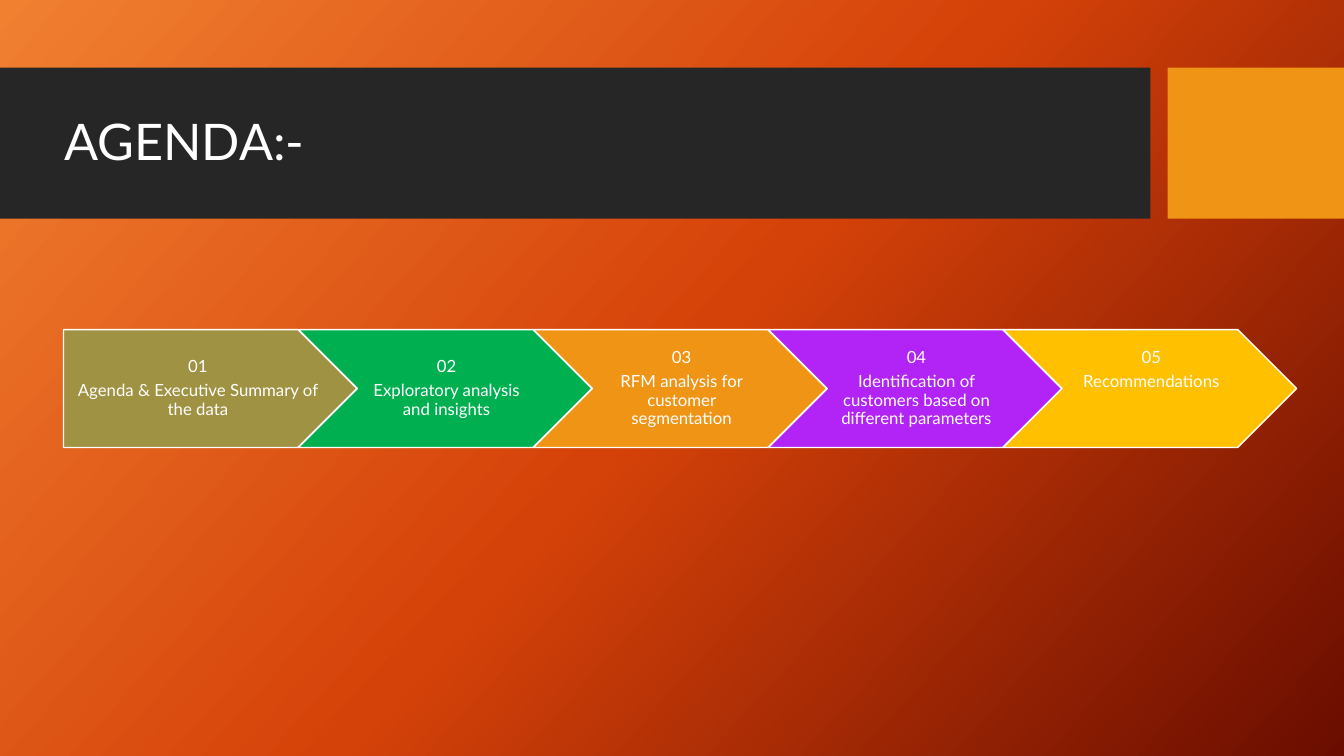
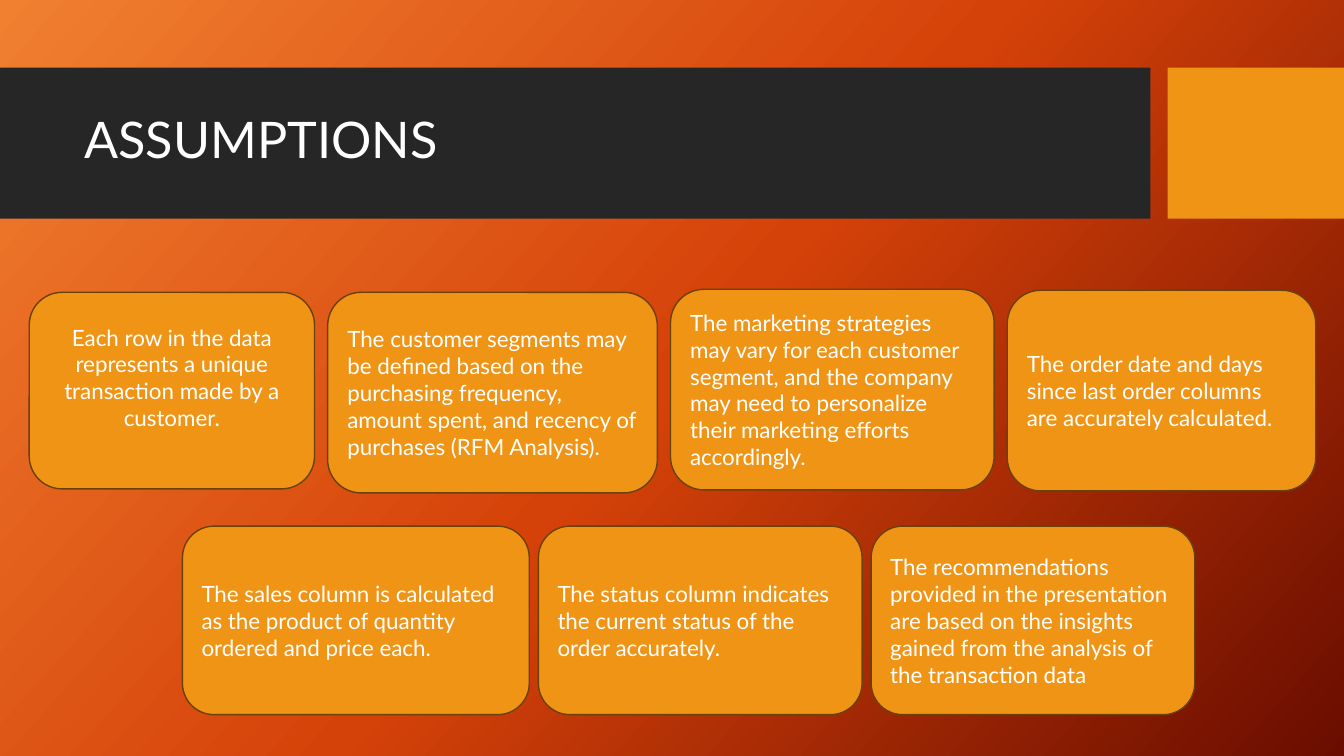
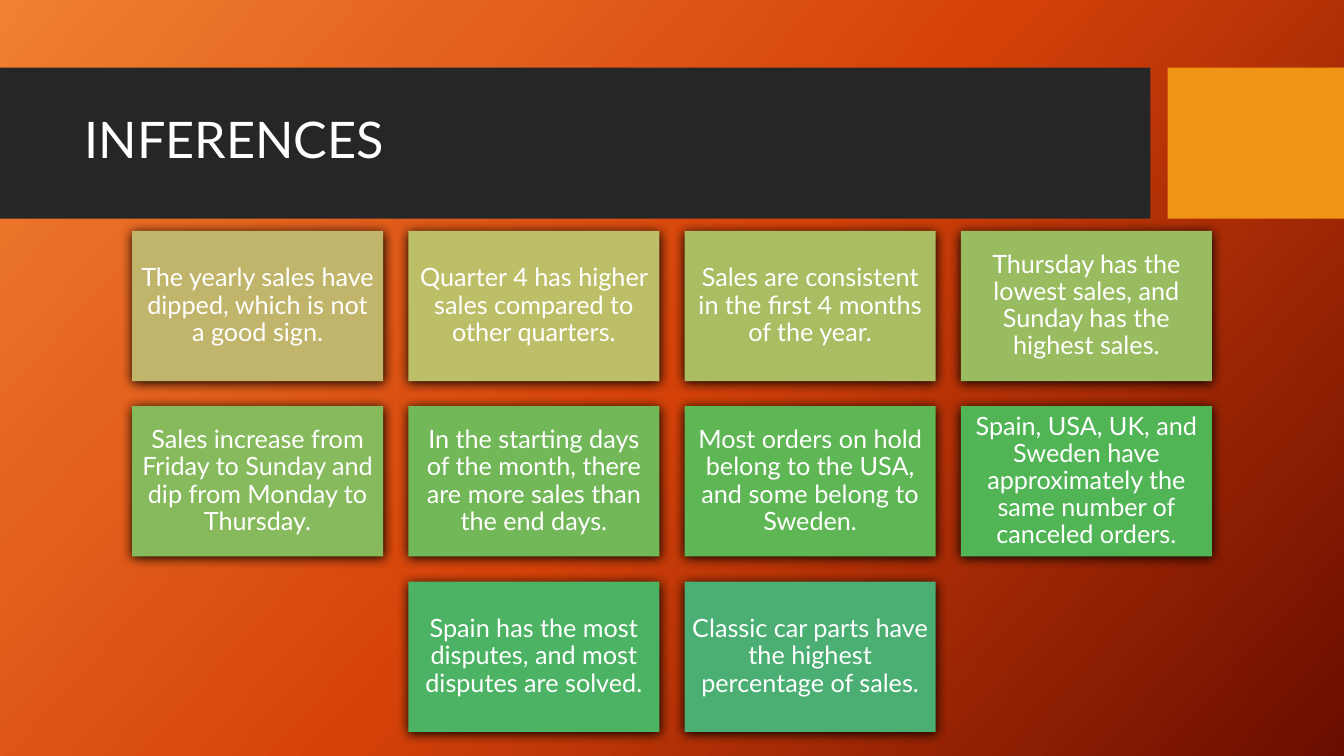
from copy import deepcopy

from lxml import etree
from pptx import Presentation
from pptx.dml.color import RGBColor
from pptx.enum import shapes, text
from pptx.oxml import ns
from pptx.util import Inches, Pt

HUES = {
    "white": "FFFFFF", "band": "262626", "accent": "F09415", "edge": "694109",
    "glow": "F18031", "flame": "D54209", "ember": "6A0D00", "black": "000000",
    "olive": "9F9242", "green": "00B050", "violet": "B124F5", "gold": "FFC000",
}
FONT = "Lato"
WIDE, HIGH = 13.33, 7.5
KIND = shapes.MSO_SHAPE
MID = text.PP_ALIGN.CENTER
LEFT = text.PP_ALIGN.LEFT
SIDES = ("margin_left", "margin_top", "margin_right", "margin_bottom")

STEPS = [
    ("olive", "Agenda & Executive Summary of the data"),
    ("green", "Exploratory analysis and insights"),
    ("accent", "RFM analysis for customer segmentation"),
    ("violet", "Identification of customers based on different parameters"),
    ("gold", "Recommendations"),
]

# Each row: left edge, gap, then (width, top, height, text) for each card
RULES = [
    (0.29, 0.13, [
        (2.83, 2.9, 1.95, "Each row in the data represents a unique transaction "
                          "made by a customer."),
        (3.27, 2.9, 1.99, "The customer segments may be defined based on the "
                          "purchasing frequency, amount spent, and recency of "
                          "purchases (RFM Analysis)."),
        (3.21, 2.87, 1.99, "The marketing strategies may vary for each customer "
                           "segment, and the company may need to personalize "
                           "their marketing efforts accordingly."),
        (3.06, 2.88, 1.99, "The order date and days since last order columns "
                           "are accurately calculated."),
    ]),
    (1.81, 0.09, [
        (3.44, 5.22, 1.87, "The sales column is calculated as the product of "
                           "quantity ordered and price each."),
        (3.21, 5.22, 1.87, "The status column indicates the current status of "
                           "the order accurately."),
        (3.21, 5.22, 1.87, "The recommendations provided in the presentation are "
                           "based on the insights gained from the analysis of "
                           "the transaction data"),
    ]),
]

FACTS = [
    [
        ("C1B56B", "The yearly sales have dipped, which is not a good sign."),
        ("BCBF67", "Quarter 4 has higher sales compared to other quarters."),
        ("ABBD63", "Sales are consistent in the first 4 months of the year."),
        ("99BC60", "Thursday has the lowest sales, and Sunday has the highest sales."),
    ],
    [
        ("87BA5C", "Sales increase from Friday to Sunday and dip from Monday to Thursday."),
        ("73B858", "In the starting days of the month, there are more sales than the end days."),
        ("5FB654", "Most orders on hold belong to the USA, and some belong to Sweden."),
        ("51B556", "Spain, USA, UK, and Sweden have approximately the same number of "
                   "canceled orders."),
    ],
    [
        ("4DB364", "Spain has the most disputes, and most disputes are solved."),
        ("4BAF73", "Classic car parts have the highest percentage of sales."),
    ],
]


def tint(name):
    return RGBColor.from_string(HUES.get(name, name))


def apply(item, values):
    for name, value in values.items():
        setattr(item, name, value)


def write(shape, lines, size, align=LEFT, pad=(0.1, 0.05, 0.1, 0.05),
          pitch=1.0, after=0):
    """Fill a shape with one paragraph per line; pad is left, top, right, bottom."""
    frame = shape.text_frame
    apply(frame, {"word_wrap": True, "vertical_anchor": text.MSO_ANCHOR.MIDDLE})
    apply(frame, dict(zip(SIDES, map(Inches, pad))))
    for i, line in enumerate(lines):
        para = frame.add_paragraph() if i else frame.paragraphs[0]
        apply(para, {"text": line, "alignment": align, "line_spacing": pitch,
                     "space_after": Pt(after)})
        apply(para.font, {"name": FONT, "size": Pt(size)})
        para.font.color.rgb = tint("white")


def block(slide, kind, box, fill, line=None):
    shape = slide.shapes.add_shape(kind, *map(Inches, box))
    shape.shadow.inherit = False
    shape.fill.solid()
    shape.fill.fore_color.rgb = tint(fill)
    if line:
        shape.line.color.rgb = tint(line)
        shape.line.width = Pt(1)
    else:
        shape.line.fill.background()
    return shape


def shade(shape):
    """Give a shape a soft shadow just below it."""
    effects = shape.element.spPr.find(ns.qn("a:effectLst"))
    drop = etree.SubElement(effects, ns.qn("a:outerShdw"), blurRad=str(Pt(8.5)),
                            dist=str(Pt(1)), dir="5400000", rotWithShape="0")
    etree.SubElement(drop, ns.qn("a:srgbClr"), val=HUES["black"])


def paint(master):
    """Set the gradient that lies behind every slide."""
    fill = master.background.fill
    fill.gradient()
    fill.gradient_angle = 318
    stops = next(master.element.iter(ns.qn("a:gsLst")))
    stops.append(deepcopy(stops[0]))
    for stop, place, name in zip(fill.gradient_stops, (0, 0.5, 1),
                                 ("glow", "flame", "ember")):
        stop.position = place
        stop.color.rgb = tint(name)


def start(deck, title, box=(0.74, 0.82, 10.51, 1.18)):
    """Add a slide with the two bands and its title."""
    slide = deck.slides.add_slide(deck.slide_layouts[6])
    block(slide, KIND.RECTANGLE, (0, 0.67, 11.41, 1.5), "band")
    block(slide, KIND.RECTANGLE, (11.58, 0.67, 1.75, 1.5), "accent")
    write(slide.shapes.add_textbox(*map(Inches, box)), [title], 36, pitch=0.9)
    return slide


def agenda(deck):
    slide = start(deck, "AGENDA:-", (0.54, 0.71, 11.5, 1.45))
    for i, (fill, label) in enumerate(STEPS):
        first, last = i == 0, i == len(STEPS) - 1
        kind = KIND.PENTAGON if first else KIND.CHEVRON
        step = block(slide, kind, (0.63 + 2.33 * i, 3.27, 2.91, 1.17), fill, "white")
        pad = (0.07 if first else 0.05, 0.04, 0.02, 0.4 if last else 0.04)
        write(step, [f"{i + 1:02}", label], 12, MID, pad, 0.9, 4.2)


def assume(deck):
    slide = start(deck, "ASSUMPTIONS")
    for row, (left, gap, cards) in enumerate(RULES):
        for col, (wide, top, high, label) in enumerate(cards):
            card = block(slide, KIND.ROUNDED_RECTANGLE, (left, top, wide, high),
                         "accent", "edge")
            if row == col == 0:
                write(card, [label], 16, MID, (0.1, 0.05, 0.1, 0.31))
            else:
                write(card, [label], 16)
            left += wide + gap


def infer(deck):
    slide = start(deck, "INFERENCES")
    wide, high, gap = 2.49, 1.49, 0.25
    for row, facts in enumerate(FACTS):
        left = (WIDE - len(facts) * (wide + gap) + gap) / 2
        top = 2.29 + row * (high + gap)
        for col, (fill, label) in enumerate(facts):
            box = (left + col * (wide + gap), top, wide, high)
            tile = block(slide, KIND.RECTANGLE, box, fill)
            shade(tile)
            write(tile, [label], 18, MID, (0.07,) * 4, 0.9)


def main():
    deck = Presentation()
    apply(deck, {"slide_width": Inches(WIDE), "slide_height": Inches(HIGH)})
    paint(deck.slide_master)
    for build in (agenda, assume, infer):
        build(deck)
    deck.save("out.pptx")


if __name__ == "__main__":
    main()
